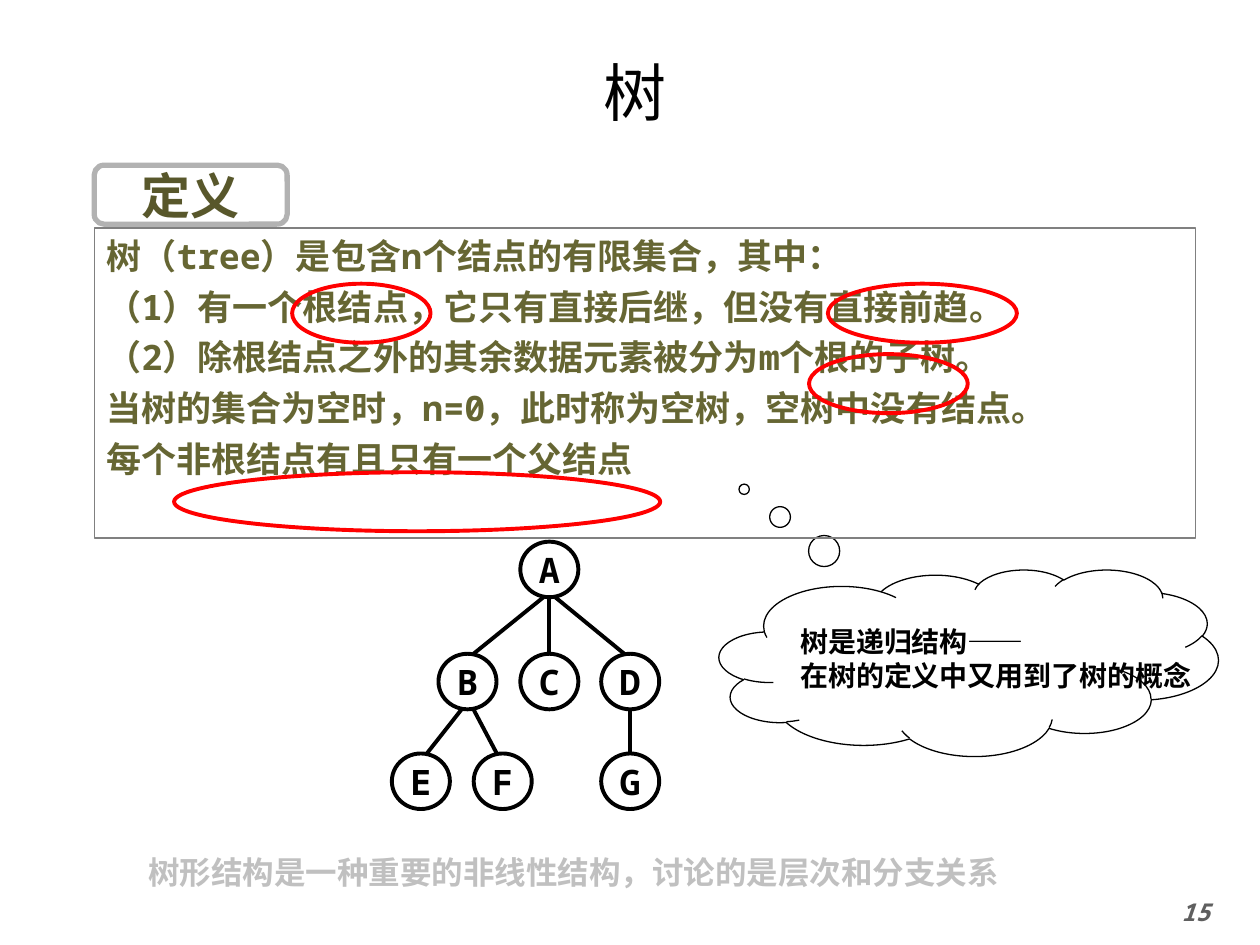
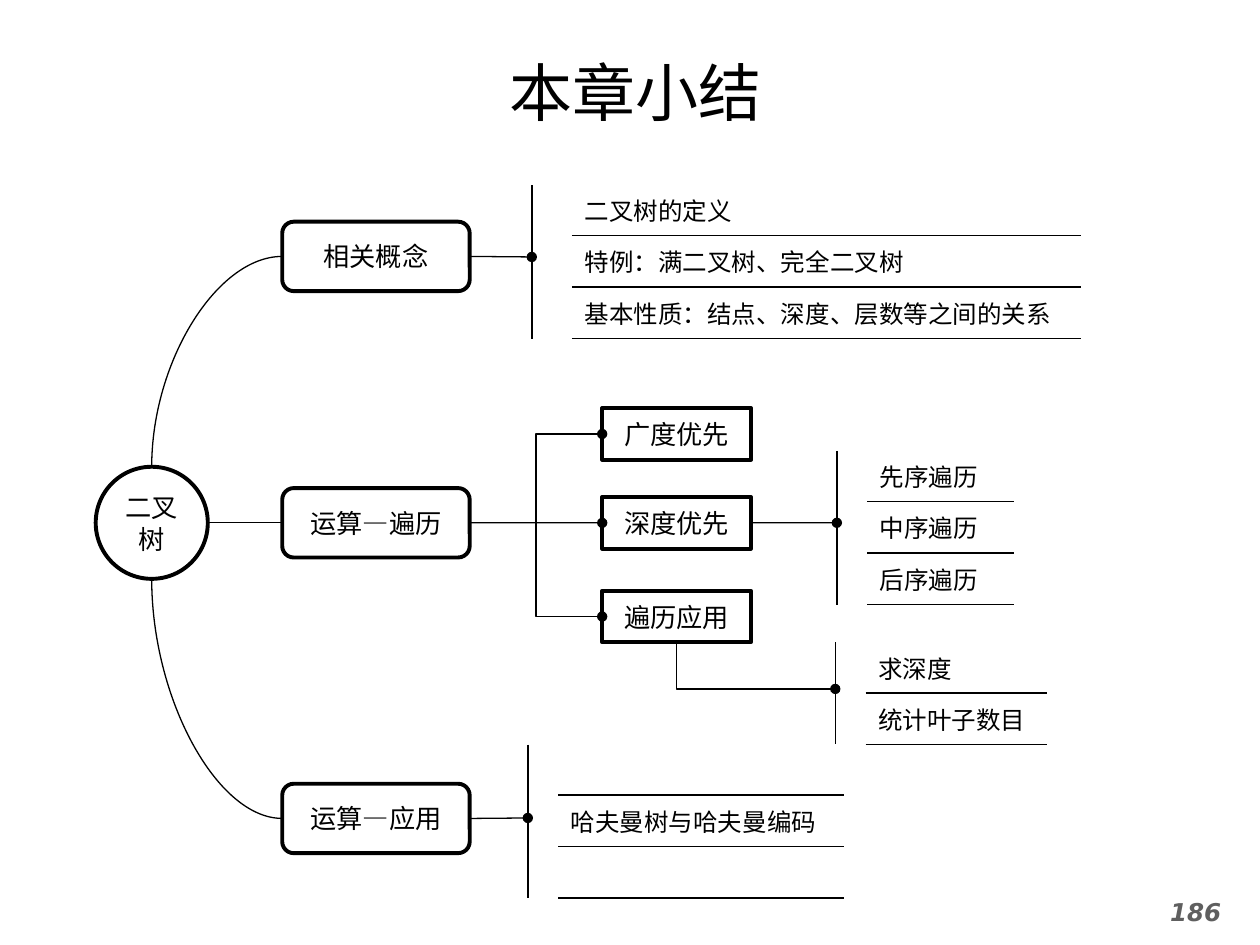
from lxml.etree import SubElement
from pptx import Presentation
from pptx.dml.color import RGBColor
from pptx.enum.shapes import MSO_CONNECTOR, MSO_SHAPE
from pptx.enum.text import MSO_ANCHOR, PP_ALIGN
from pptx.oxml.ns import qn
from pptx.util import Cm, Pt

COLORS = {
    "white": "FFFFFF",
    "black": "000000",
    "number": "5F5F5F",
    "badge_line": "B2B2B2",
    "badge_text": "58572B",
    "frame": "808080",
    "definition": "666633",
    "caption": "C0C0C0",
    "ring": "FF0000",
}
MONO, SANS, SANS_JP = "Noto Sans Mono", "Noto Sans CJK SC", "Noto Sans CJK JP"
NUMBER_FONT, TABLE_FONT = "DejaVu Sans", "Arial"
TOP, LEFT, BOTTOM, RIGHT = range(4)
PLAIN_TABLE = "{2D5ABB26-0587-4C30-8999-92F81FD0307C}"


def rgb(name):
    return RGBColor.from_string(COLORS[name])


def write(tf, text, size=15, font=SANS, color="black", bold=False, italic=False,
          align=PP_ALIGN.LEFT, anchor=MSO_ANCHOR.TOP, wrap=True, before=0,
          spacing=None):
    """Fill a text frame, one paragraph for each line of text."""
    tf.word_wrap = wrap
    tf.vertical_anchor = anchor
    for i, line in enumerate(text.split("\n")):
        p = tf.add_paragraph() if i else tf.paragraphs[0]
        p.alignment = align
        p.line_spacing = spacing
        if i and before:
            p.space_before = Pt(before)
        r = p.add_run()
        r.text = line
        r.font.name, r.font.size = font, Pt(size)
        r.font.bold, r.font.italic = bold, italic
        r.font.color.rgb = rgb(color)
        east_asian = font if font == SANS_JP else SANS
        SubElement(r.font._element, qn("a:ea"), typeface=east_asian)


class Deck:
    def __init__(self):
        self.prs = Presentation()
        self.prs.slide_width, self.prs.slide_height = Cm(25.4), Cm(19.05)
        self.s = None

    def slide(self, title, number, title_font, number_font):
        self.s = self.prs.slides.add_slide(self.prs.slide_layouts[6])
        self.text(0.69, 0.95, 24.23, 1.79, title, size=36, font=title_font,
                  align=PP_ALIGN.CENTER, anchor=MSO_ANCHOR.MIDDLE)
        self.text(22.81, 17.96, 2.59, 1.09, number, size=14, font=number_font,
                  color="number", bold=True, italic=True, align=PP_ALIGN.CENTER)

    def text(self, x, y, w, h, text, **fmt):
        sp = self.s.shapes.add_textbox(Cm(x), Cm(y), Cm(w), Cm(h))
        write(sp.text_frame, text, **fmt)

    def shape(self, kind, x, y, w, h, text="", fill="white", line="black",
              width=2.25, **fmt):
        sp = self.s.shapes.add_shape(kind, Cm(x), Cm(y), Cm(w), Cm(h))
        sp.shadow.inherit = False
        if fill:
            sp.fill.solid()
            sp.fill.fore_color.rgb = rgb(fill)
        else:
            sp.fill.background()
        sp.line.color.rgb = rgb(line)
        sp.line.width = Pt(width)
        if text:
            centred = {"align": PP_ALIGN.CENTER, "anchor": MSO_ANCHOR.MIDDLE}
            write(sp.text_frame, text, **{**centred, **fmt})
        return sp

    def link(self, begin, end, kind=MSO_CONNECTOR.STRAIGHT, preset=None,
             width=0.75, oval=None):
        """Join two ends; each is a point (x, y) or a pair (shape, side)."""
        free = [isinstance(e[0], (int, float)) for e in (begin, end)]
        points = [Cm(v) for e, f in zip((begin, end), free)
                  for v in (e if f else (0, 0))]
        c = self.s.shapes.add_connector(kind, *points)
        joins = ((begin, c.begin_connect, "stCxn"), (end, c.end_connect, "endCxn"))
        for (target, side), is_free, (_, connect, tag) in zip((begin, end), free, joins):
            if is_free:
                continue
            connect(target, side)
            if target.auto_shape_type == MSO_SHAPE.OVAL:
                # an ellipse has eight sites, two for each side
                c._element.xpath(f".//a:{tag}")[0].set("idx", str(2 * side))
        c.line.color.rgb = rgb("black")
        c.line.width = Pt(width)
        sp_pr = c._element.spPr
        if preset:
            sp_pr.find(qn("a:prstGeom")).set("prst", preset)
        if oval:
            SubElement(sp_pr.find(qn("a:ln")), qn(f"a:{oval}"), type="oval")
        SubElement(sp_pr, qn("a:effectLst"))

    def topics(self, x, y, widths, texts):
        """Table with a rule down its left side and one under each topic."""
        heights = [0.58] + [1.04] * (len(texts) - 1)
        frame = self.s.shapes.add_table(len(texts), 2, Cm(x), Cm(y),
                                        Cm(sum(widths)), Cm(sum(heights)))
        table = frame.table
        table.first_row = table.horz_banding = False
        table._tbl.tblPr.find(qn("a:tableStyleId")).text = PLAIN_TABLE
        for column, w in zip(table.columns, widths):
            column.width = Cm(w)
        for i, (row, h, text) in enumerate(zip(table.rows, heights, texts)):
            row.height = Cm(h)
            rule, topic = row.cells
            self.borders(rule, "L")
            self.borders(topic, "TB" if i else "B")
            if text:
                write(topic.text_frame, text, size=14, font=TABLE_FONT)
            topic.vertical_anchor = MSO_ANCHOR.MIDDLE

    def borders(self, cell, sides):
        tc_pr = cell._tc.get_or_add_tcPr()
        for side in "LRTB":
            ln = SubElement(tc_pr, qn(f"a:ln{side}"), w=str(Pt(1)))
            if side in sides:
                fill = SubElement(ln, qn("a:solidFill"))
                SubElement(fill, qn("a:srgbClr"), val=COLORS["black"])
            else:
                SubElement(ln, qn("a:noFill"))
        cell.fill.background()


def tree_slide(d):
    d.slide("树", "15", MONO, MONO)
    d.shape(MSO_SHAPE.ROUNDED_RECTANGLE, 1.9, 3.33, 3.89, 1.19, "定义",
            line="badge_line", width=3, size=28, font=MONO, color="badge_text",
            bold=True, wrap=False)

    w, h = 1.17, 1.12
    nodes = {"A": (10.49, 10.92), "B": (8.84, 13.18), "C": (10.49, 13.18),
             "D": (12.12, 13.18), "E": (7.9, 15.19), "F": (9.55, 15.19),
             "G": (12.12, 15.19)}
    for name, (x, y) in nodes.items():
        d.shape(MSO_SHAPE.OVAL, x, y, w, h, name, size=20, font=MONO,
                bold=True, wrap=False)
    for parent, child in ("AB", "AC", "AD", "BE", "BF", "DG"):
        (px, py), (cx, cy) = nodes[parent], nodes[child]
        lean = 0.12 * ((cx > px) - (cx < px))
        d.link((px + w / 2 + lean, py + h), (cx + w / 2 - lean, cy), width=2.25)

    d.text(2.74, 16.92, 17.83, 1.09,
           "树形结构是一种重要的非线性结构，讨论的是层次和分支关系",
           size=18, font=MONO, color="caption", bold=True, wrap=False, spacing=1.2)
    cloud = d.shape(MSO_SHAPE.CLOUD_CALLOUT, 14.5, 11.48, 10.06, 3.76,
                    "树是递归结构——\n在树的定义中又用到了树的概念", width=0.75,
                    size=16, font=MONO, bold=True, wrap=False, align=PP_ALIGN.LEFT)
    cloud.adjustments[0], cloud.adjustments[1] = -0.45, -0.93
    definition = "\n".join([
        "树（tree）是包含n个结点的有限集合，其中：",
        "（1）有一个根结点，它只有直接后继，但没有直接前趋。",
        "（2）除根结点之外的其余数据元素被分为m个根的子树。",
        "当树的集合为空时，n=0，此时称为空树，空树中没有结点。",
        "每个非根结点有且只有一个父结点",
    ])
    d.shape(MSO_SHAPE.RECTANGLE, 1.9, 4.6, 22.2, 6.25, definition, fill=None,
            line="frame", width=0.75, size=20, font=MONO, color="definition",
            bold=True, align=PP_ALIGN.LEFT, anchor=MSO_ANCHOR.TOP, before=5)
    for x, y, ring_w in ((5.89, 5.72, 2.79), (16.69, 5.72, 3.81),
                         (16.31, 7.14, 3.2), (3.51, 9.52, 9.8)):
        d.shape(MSO_SHAPE.OVAL, x, y, ring_w, 1.19, fill=None, line="ring")


def summary_slide(d):
    d.slide("本章小结", "186", SANS_JP, NUMBER_FONT)
    root = d.shape(MSO_SHAPE.OVAL, 1.93, 9.41, 2.26, 2.26, "二叉树")
    concepts, traversal, uses = [
        d.shape(MSO_SHAPE.ROUNDED_RECTANGLE, 5.69, y, 3.78, 1.4, text)
        for y, text in ((4.47, "相关概念"), (9.84, "运算—遍历"), (15.8, "运算—应用"))]
    breadth, depth, applied = [
        d.shape(MSO_SHAPE.RECTANGLE, 12.14, y, 3, 1.04, text)
        for y, text in ((8.23, "广度优先"), (10.02, "深度优先"), (11.91, "遍历应用"))]

    d.topics(10.72, 3.73, (0.81, 10.26),
             ("二叉树的定义", "特例：满二叉树、完全二叉树",
              "基本性质：结点、深度、层数等之间的关系"))
    d.topics(16.87, 9.09, (0.61, 2.97), ("先序遍历", "中序遍历", "后序遍历"))
    d.topics(16.84, 12.95, (0.58, 3.66), ("求深度", "统计叶子数目"))
    d.topics(10.64, 15.01, (0.61, 5.77), ("", "哈夫曼树与哈夫曼编码", ""))

    d.link((root, RIGHT), (traversal, LEFT))
    for box, side in ((concepts, TOP), (uses, BOTTOM)):
        d.link((box, LEFT), (root, side), MSO_CONNECTOR.CURVE, "curvedConnector2")
    for box, point in ((concepts, (10.72, 5.18)), (depth, (16.87, 10.54)),
                       (uses, (10.64, 16.49))):
        d.link((box, RIGHT), point, oval="tailEnd")
    d.link((traversal, RIGHT), (depth, LEFT), oval="tailEnd")
    for box in (breadth, applied):
        d.link((traversal, RIGHT), (box, LEFT), MSO_CONNECTOR.ELBOW, oval="tailEnd")
    d.link((16.84, 13.89), (applied, BOTTOM), MSO_CONNECTOR.ELBOW,
           "bentConnector2", oval="headEnd")


def main():
    d = Deck()
    tree_slide(d)
    summary_slide(d)
    d.prs.save("out.pptx")


if __name__ == "__main__":
    main()
